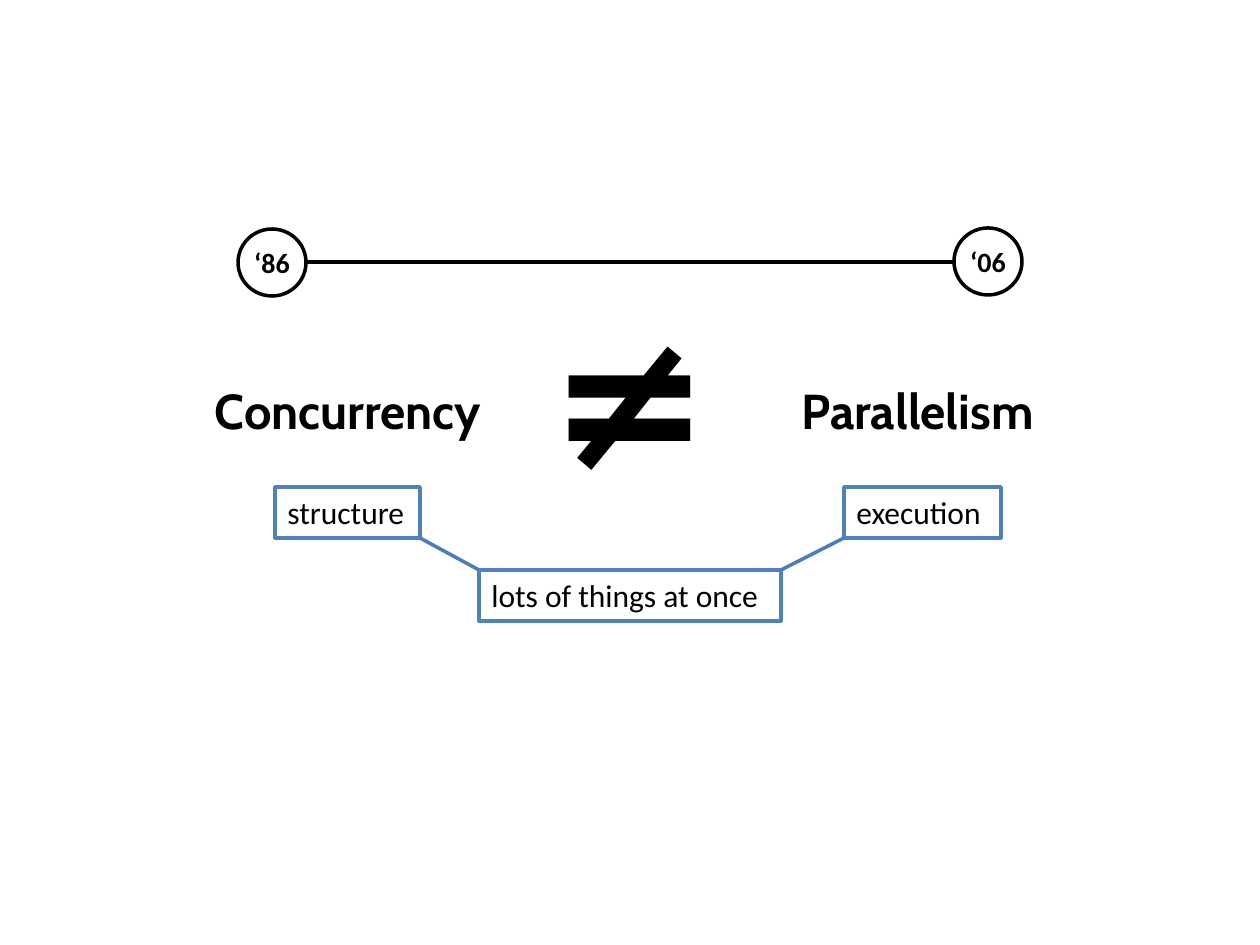
from pptx import Presentation
from pptx.dml.color import RGBColor
from pptx.enum.shapes import MSO_CONNECTOR as Connector, MSO_SHAPE as Shape
from pptx.enum.text import MSO_ANCHOR as Anchor, MSO_AUTO_SIZE as AutoSize, PP_ALIGN as Align
from pptx.oxml.ns import qn
from pptx.util import Emu, Pt
from lxml.etree import SubElement

COLORS = {"ink": "000000", "paper": "FFFFFF", "border": "4F81BD", "link": "4B7EBC"}
HEADING = {"name": "Cabin", "size": Pt(28), "bold": True}
SYMBOL = {"name": "Cabin", "size": Pt(111), "bold": True}
LABEL = {"name": "Calibri", "size": Pt(18)}
YEAR = {"name": "Calibri", "size": Pt(16), "bold": True}
CENTERED = {"vertical_anchor": Anchor.MIDDLE, "word_wrap": True}
TIGHT = {"margin_left": 0, "margin_top": 0, "margin_right": 0, "margin_bottom": 0}
FITTED = {"vertical_anchor": Anchor.TOP, "word_wrap": False,
          "auto_size": AutoSize.SHAPE_TO_FIT_TEXT}


def apply(target, values):
    for name, value in values.items():
        setattr(target, name, value)


class SlideBuilder:
    scale = 914400 / 126
    line_width = Pt(2)

    def __init__(self, slide):
        self.slide = slide

    def lengths(self, *pixels):
        return [Emu(round(pixel * self.scale)) for pixel in pixels]

    def color(self, name):
        return RGBColor.from_string(COLORS[name])

    def set_text(self, shape, text, font, frame, align):
        apply(shape.text_frame, frame)
        paragraph = shape.text_frame.paragraphs[0]
        paragraph.text = text
        paragraph.alignment = align
        apply(paragraph.font, font)
        paragraph.font.color.rgb = self.color("ink")

    def text(self, text, box, font):
        shape = self.slide.shapes.add_textbox(*self.lengths(*box))
        self.set_text(shape, text, font, CENTERED, Align.CENTER)

    def outlined(self, kind, box, border):
        shape = self.slide.shapes.add_shape(kind, *self.lengths(*box))
        shape.shadow.inherit = False
        shape.fill.solid()
        shape.fill.fore_color.rgb = self.color("paper")
        shape.line.color.rgb = self.color(border)
        shape.line.width = self.line_width
        return shape

    def label(self, text, box):
        shape = self.outlined(Shape.RECTANGLE, box, "border")
        self.set_text(shape, text, LABEL, FITTED, Align.LEFT)

    def year(self, text, box):
        shape = self.outlined(Shape.OVAL, box, "ink")
        self.set_text(shape, text, YEAR, CENTERED | TIGHT, Align.CENTER)

    def line(self, ends, color):
        connector = self.slide.shapes.add_connector(Connector.STRAIGHT, *self.lengths(*ends))
        connector.line.color.rgb = self.color(color)
        connector.line.width = self.line_width
        SubElement(connector._element.spPr, qn("a:effectLst"))


def main():
    presentation = Presentation()
    presentation.slide_width, presentation.slide_height = Emu(9144000), Emu(6858000)
    builder = SlideBuilder(presentation.slides.add_slide(presentation.slide_layouts[6]))

    builder.text("≠", (517, 273, 226, 238), SYMBOL)
    builder.text("Concurrency", (178, 357, 340, 105), HEADING)
    builder.text("Parallelism", (743, 357, 349, 105), HEADING)

    for text, left, top, width in (
        ("structure", 275, 487, 145),
        ("lots of things at once", 479, 570, 302),
        ("execution", 844, 487, 157),
    ):
        builder.label(text, (left, top, width, 51))

    builder.line((420, 538, 479, 570), "link")
    builder.line((781, 570, 844, 538), "link")

    builder.line((253, 262, 1021, 262), "ink")
    builder.year("‘86", (238, 229, 68, 67))
    builder.year("‘06", (954, 228, 68, 67))

    presentation.save("out.pptx")


if __name__ == "__main__":
    main()
